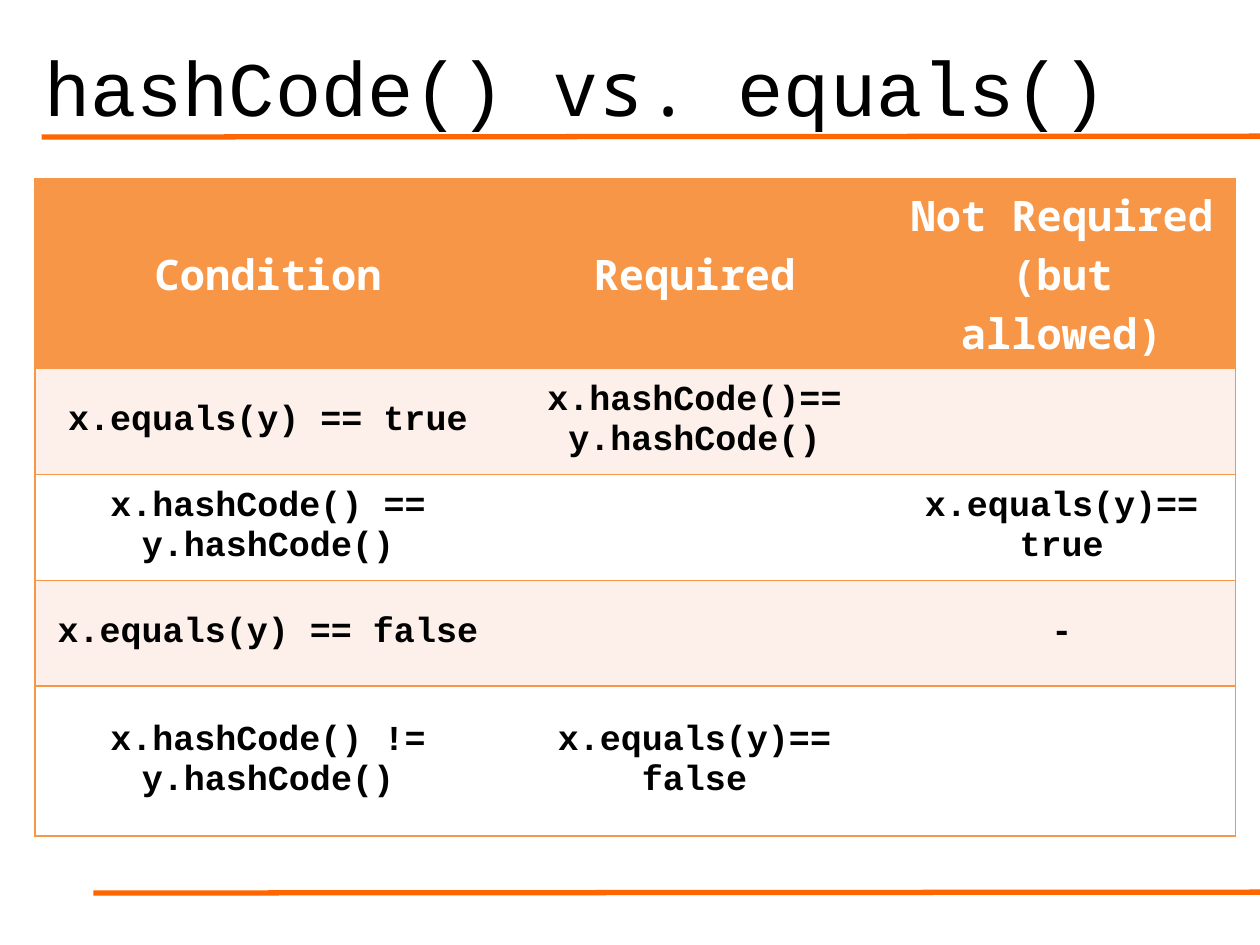
"""Build a slide comparing hashCode() and equals() in a table."""
from lxml import etree
from pptx import Presentation
from pptx.dml.color import RGBColor
from pptx.enum.shapes import MSO_CONNECTOR
from pptx.enum.text import MSO_ANCHOR, MSO_AUTO_SIZE, PP_ALIGN
from pptx.oxml.ns import qn
from pptx.util import Pt

STRAIGHT = MSO_CONNECTOR.STRAIGHT
MIDDLE = MSO_ANCHOR.MIDDLE
NO_AUTOFIT = MSO_AUTO_SIZE.NONE
LEFT, CENTER = PP_ALIGN.LEFT, PP_ALIGN.CENTER

BLACK = RGBColor(0x00, 0x00, 0x00)
WHITE = RGBColor(0xFF, 0xFF, 0xFF)
RULE_ORANGE = RGBColor(0xFF, 0x66, 0x00)
TABLE_ORANGE = RGBColor(0xF7, 0x96, 0x46)
PALE_ORANGE = RGBColor(0xFD, 0xEF, 0xE9)

CODE_FONT = "Courier New"
TEXT_FONT = "Noto Sans Mono"
TITLE_ONLY = 5
SLIDE_WIDTH, SLIDE_HEIGHT = 720, 540

TITLE_RUNS = [("hashCode()", CODE_FONT), (" vs. ", TEXT_FONT), ("equals()", CODE_FONT)]
COLUMN_WIDTHS = [266.4, 221, 198.7]
ROW_HEIGHTS = [60.5, 60.5, 60.5, 60.5, 85.7]
TABLE_ROWS = [
    ["Condition", "Required", "Not Required (but allowed)"],
    ["x.equals(y) == true", "x.hashCode()== y.hashCode()", ""],
    ["x.hashCode() == y.hashCode()", "", "x.equals(y)== true"],
    ["x.equals(y) == false", "", "-"],
    ["x.hashCode() != y.hashCode()", "x.equals(y)== false", ""],
]


class SlideBuilder:
    """Hold the style and the current slide."""

    def __init__(self, slide):
        self.slide = slide
        self.title_size = 44
        self.header_size = 24
        self.body_size = 20
        self.title_spacing = 1.03
        self.rule_width = 3
        self.border_width = 1

    def add_run(self, paragraph, text, font_name, size, color, bold=False):
        """Append one formatted run to a paragraph."""
        run = paragraph.add_run()
        run.text = text
        run.font.name = font_name
        run.font.size = Pt(size)
        run.font.bold = bold
        run.font.color.rgb = color

    def add_rule(self, left, top):
        """Draw a rule from the right slide edge to the given point."""
        rule = self.slide.shapes.add_connector(
            STRAIGHT, Pt(SLIDE_WIDTH + 0.7), Pt(top), Pt(left), Pt(top + 0.5))
        rule.line.color.rgb = RULE_ORANGE
        rule.line.width = Pt(self.rule_width)
        etree.SubElement(rule._element.spPr, qn("a:effectLst"))

    def set_title(self, runs, left, top, width, height):
        """Place the title placeholder and fill it run by run."""
        title = self.slide.shapes.title
        title.left, title.top = Pt(left), Pt(top)
        title.width, title.height = Pt(width), Pt(height)
        frame = title.text_frame
        frame.word_wrap = True
        frame.auto_size = NO_AUTOFIT
        frame.vertical_anchor = MIDDLE
        paragraph = frame.paragraphs[0]
        paragraph.alignment = LEFT
        paragraph.line_spacing = self.title_spacing
        for text, font_name in runs:
            self.add_run(paragraph, text, font_name, self.title_size, BLACK)

    def set_border(self, cell, side, visible):
        """Show or hide the border on one side of a cell."""
        properties = cell._tc.get_or_add_tcPr()
        line = etree.SubElement(
            properties, qn(f"a:ln{side}"), w=str(Pt(self.border_width)))
        if visible:
            fill = etree.SubElement(line, qn("a:solidFill"))
            etree.SubElement(fill, qn("a:srgbClr"), val=str(TABLE_ORANGE))
        else:
            etree.SubElement(line, qn("a:noFill"))

    def fill_cell(self, cell, text, is_header, fill_color):
        """Write one table cell and color its background."""
        cell.vertical_anchor = MIDDLE
        cell.fill.solid()
        cell.fill.fore_color.rgb = fill_color
        paragraph = cell.text_frame.paragraphs[0]
        paragraph.alignment = CENTER
        if is_header:
            paragraph.line_spacing = self.title_spacing
            self.add_run(paragraph, text, TEXT_FONT, self.header_size, WHITE, True)
        elif text:
            self.add_run(paragraph, text, CODE_FONT, self.body_size, BLACK, True)

    def add_table(self, rows, left, top, column_widths, row_heights):
        """Add a banded table with horizontal rules and an outer frame."""
        table = self.slide.shapes.add_table(
            len(rows), len(column_widths), Pt(left), Pt(top),
            Pt(sum(column_widths)), Pt(sum(row_heights))).table
        table.horz_banding = False
        for column, width in zip(table.columns, column_widths):
            column.width = Pt(width)
        for row, height in zip(table.rows, row_heights):
            row.height = Pt(height)
        last_column = len(column_widths) - 1
        for row_index, texts in enumerate(rows):
            is_header = row_index == 0
            band_color = PALE_ORANGE if row_index % 2 else WHITE
            fill_color = TABLE_ORANGE if is_header else band_color
            for column_index, text in enumerate(texts):
                cell = table.cell(row_index, column_index)
                self.set_border(cell, "L", column_index == 0)
                self.set_border(cell, "R", column_index == last_column)
                self.set_border(cell, "T", True)
                self.set_border(cell, "B", True)
                self.fill_cell(cell, text, is_header, fill_color)


def main():
    """Create the presentation and save it."""
    presentation = Presentation()
    presentation.slide_width = Pt(SLIDE_WIDTH)
    presentation.slide_height = Pt(SLIDE_HEIGHT)
    slide = presentation.slides.add_slide(presentation.slide_layouts[TITLE_ONLY])
    builder = SlideBuilder(slide)
    builder.add_rule(left=23.8, top=77.8)
    builder.add_rule(left=53.3, top=509.8)
    builder.set_title(TITLE_RUNS, left=18, top=-9.4, width=677.5, height=115.2)
    builder.add_table(TABLE_ROWS, 20, 102.2, COLUMN_WIDTHS, ROW_HEIGHTS)
    presentation.save("out.pptx")


if __name__ == "__main__":
    main()
